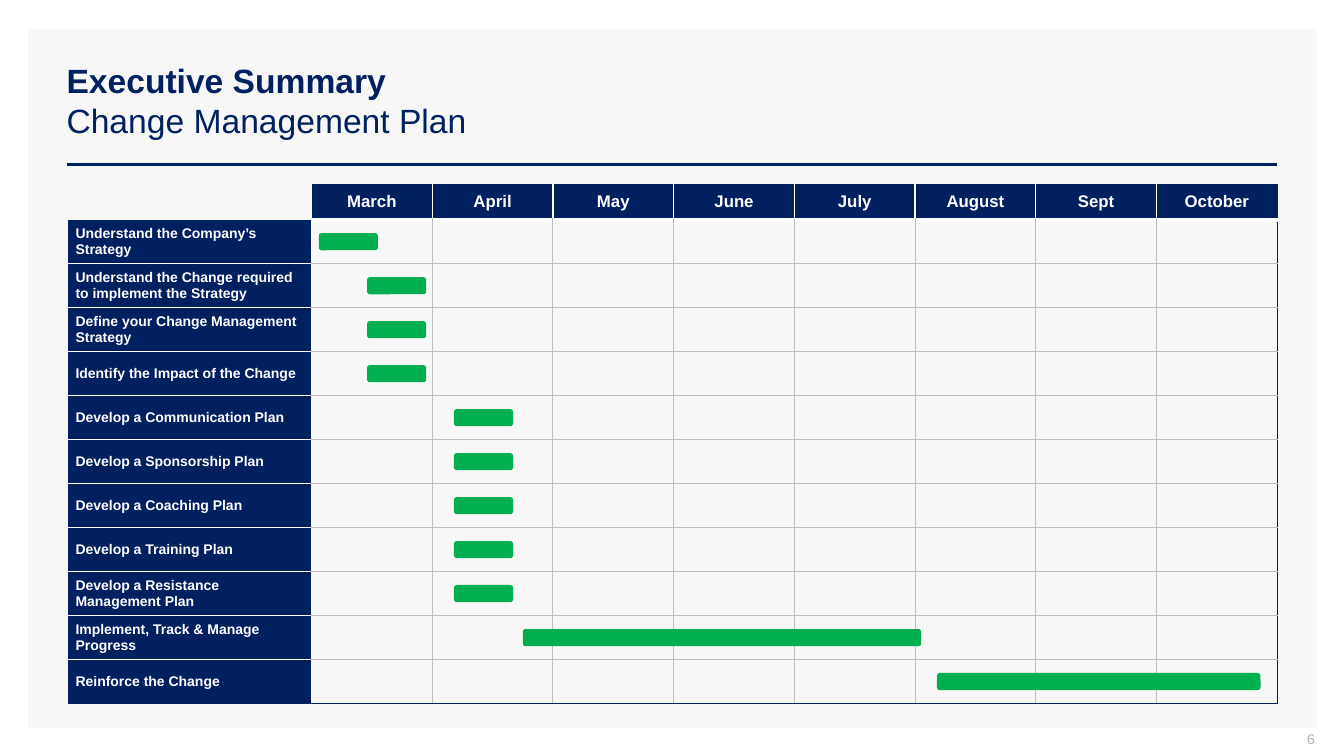
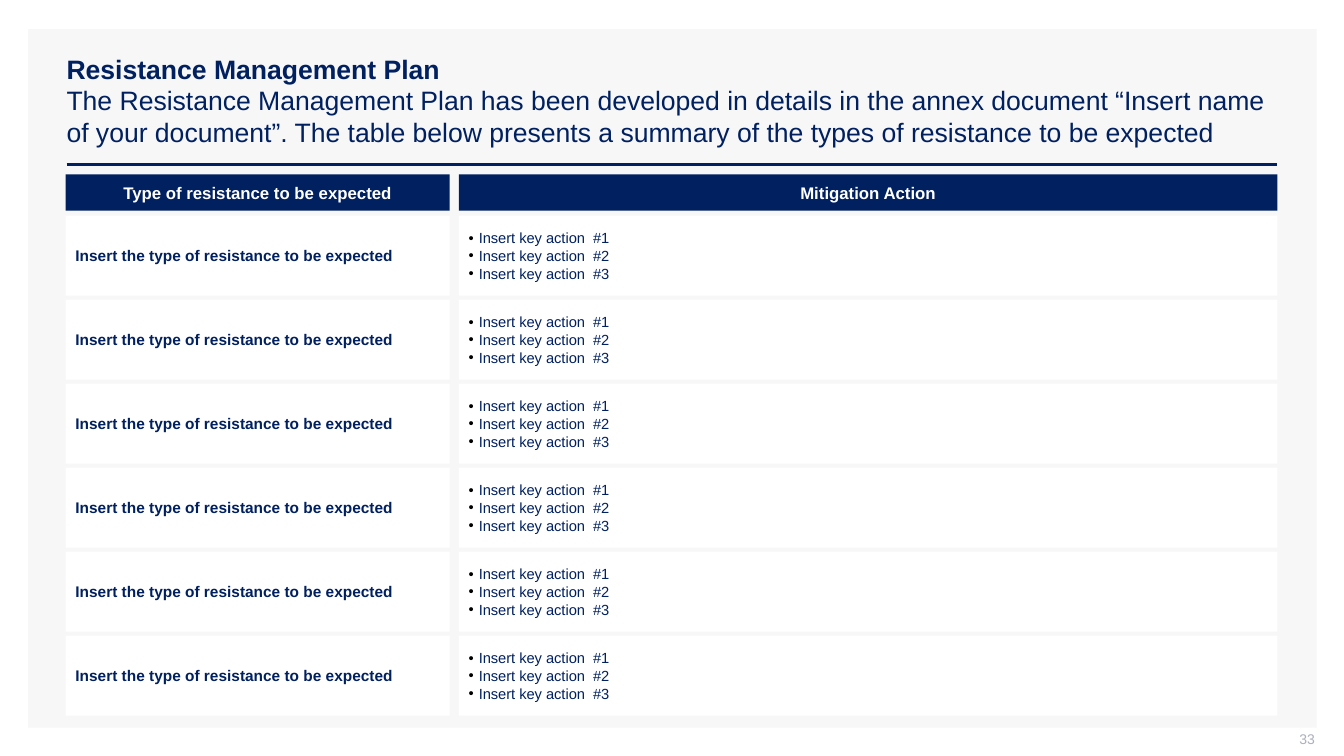
from dataclasses import dataclass

from lxml.etree import SubElement
from pptx import Presentation
from pptx.dml.color import RGBColor
from pptx.enum.shapes import MSO_CONNECTOR, MSO_SHAPE
from pptx.enum.text import MSO_ANCHOR, MSO_AUTO_SIZE, PP_ALIGN
from pptx.oxml.ns import qn
from pptx.util import Inches, Pt


@dataclass(frozen=True)
class Theme:
    font: str = "Arial"
    navy: str = "002060"
    white: str = "FFFFFF"
    panel: str = "F7F7F7"
    grid: str = "BFBFBF"
    bar: str = "00B050"
    number: str = "ADAFBB"
    bullet: str = "000000"
    title_size: float = 24
    long_title_size: float = 19
    header_size: float = 12
    type_size: float = 11
    action_size: float = 10.5
    small_size: float = 10


@dataclass(frozen=True)
class Box:
    """A region of the slide, in inches."""
    left: float
    top: float
    width: float
    height: float

    @property
    def right(self):
        return self.left + self.width

    @property
    def bottom(self):
        return self.top + self.height

    def emu(self):
        return [Inches(n) for n in (self.left, self.top, self.width, self.height)]


THEME = Theme()
SLIDE_WIDTH, SLIDE_HEIGHT = 13.33, 7.5
PANEL = Box(0.28, 0.29, 12.78, 6.93)
TITLE = Box(0.56, 0.4, 12.11, 1.19)
RULE = Box(0.66, 1.63, 12.01, 0)
NUMBER = Box(10.04, 7.25, 3, 0.21)
GANTT = Box(0.68, 1.83, 11.99, 5.15)
RESISTANCE = Box(0.65, 1.73, 12.02, 5.37)

MONTHS = ["March", "April", "May", "June", "July", "August", "Sept", "October"]
# Task, start and length, both in months from the first column
TASKS = [
    ("Understand the Company’s Strategy", 0.06, 0.49),
    ("Understand the Change required to implement the Strategy", 0.46, 0.49),
    ("Define your Change Management Strategy", 0.46, 0.49),
    ("Identify the Impact of the Change", 0.46, 0.49),
    ("Develop a Communication Plan", 1.18, 0.49),
    ("Develop a Sponsorship Plan", 1.18, 0.49),
    ("Develop a Coaching Plan", 1.18, 0.49),
    ("Develop a Training Plan", 1.18, 0.49),
    ("Develop a Resistance Management Plan", 1.18, 0.49),
    ("Implement, Track & Manage Progress", 1.75, 3.3),
    ("Reinforce the Change", 5.18, 2.68),
]
RESISTANCE_ROWS = [("Insert the type of resistance to be expected",
                    [f"Insert key action  #{n}" for n in (1, 2, 3)])] * 6


# Shared helpers

def set_font(paragraph, size, color, bold=False, align=PP_ALIGN.LEFT):
    paragraph.alignment = align
    font = paragraph.font
    font.name, font.size, font.bold = THEME.font, Pt(size), bold
    font.color.rgb = RGBColor.from_string(color)


def set_margins(target, left, top, right, bottom):
    target.margin_left, target.margin_top = Inches(left), Inches(top)
    target.margin_right, target.margin_bottom = Inches(right), Inches(bottom)


def add_block(slide, box, color, kind=MSO_SHAPE.RECTANGLE):
    shape = slide.shapes.add_shape(kind, *box.emu())
    shape.shadow.inherit = False
    shape.fill.solid()
    shape.fill.fore_color.rgb = RGBColor.from_string(color)
    shape.line.fill.background()
    return shape


def add_text_block(slide, box, color, lines, margins):
    """Add a filled rectangle with text and return its paragraphs."""
    frame = add_block(slide, box, color).text_frame
    frame.word_wrap = True
    frame.vertical_anchor = MSO_ANCHOR.MIDDLE
    set_margins(frame, *margins)
    frame.text = "\n".join(lines)
    return frame.paragraphs


def set_bullet(paragraph, indent):
    properties = paragraph._p.get_or_add_pPr()
    properties.set("marL", str(Inches(indent)))
    properties.set("indent", str(-Inches(indent)))
    color = SubElement(properties, qn("a:buClr"))
    SubElement(color, qn("a:srgbClr"), val=THEME.bullet)
    SubElement(properties, qn("a:buFont"), typeface=THEME.font)
    SubElement(properties, qn("a:buChar"), char="•")


def set_borders(cell, **sides):
    """Set the L, R, T and B borders to (color, points); others are hidden."""
    properties = cell._tc.get_or_add_tcPr()
    for side in "LRTB":
        color, width = sides.get(side) or (None, 0)
        line = SubElement(properties, qn(f"a:ln{side}"), w=str(Pt(width)))
        if color:
            fill = SubElement(line, qn("a:solidFill"))
            SubElement(fill, qn("a:srgbClr"), val=color)
        else:
            SubElement(line, qn("a:noFill"))


# Frame of every slide

def add_framed_slide(presentation, heading, subheading, title_size, number):
    slide = presentation.slides.add_slide(presentation.slide_layouts[5])
    title = slide.shapes.title

    # Panel and rule, behind the title
    panel = add_block(slide, PANEL, THEME.panel)
    rule = slide.shapes.add_connector(
        MSO_CONNECTOR.STRAIGHT, Inches(RULE.left), Inches(RULE.top),
        Inches(RULE.right), Inches(RULE.bottom))
    rule.line.color.rgb = RGBColor.from_string(THEME.navy)
    rule.line.width = Pt(2)
    SubElement(rule.element.spPr, qn("a:effectLst"))
    for shape in (panel, rule):
        title.element.addprevious(shape.element)

    # Bold heading above a regular subheading
    title.left, title.top, title.width, title.height = TITLE.emu()
    frame = title.text_frame
    frame.word_wrap = True
    frame.auto_size = MSO_AUTO_SIZE.NONE
    frame.vertical_anchor = MSO_ANCHOR.MIDDLE
    paragraph = frame.paragraphs[0]
    set_font(paragraph, title_size, THEME.navy)
    run = paragraph.add_run()
    run.text, run.font.bold = heading, True
    paragraph.add_line_break()
    paragraph.add_run().text = subheading

    # Slide number
    frame = slide.shapes.add_textbox(*NUMBER.emu()).text_frame
    frame.word_wrap = True
    frame.vertical_anchor = MSO_ANCHOR.MIDDLE
    set_margins(frame, 0.1, 0, 0, 0.05)
    frame.text = str(number)
    set_font(frame.paragraphs[0], THEME.small_size, THEME.number, align=PP_ALIGN.RIGHT)
    return slide


# Gantt chart

def format_gantt_cell(cell, row, column):
    """Navy header row and label column around an open grid."""
    white, thick = (THEME.white, 1), (THEME.white, 3)
    navy, grey = (THEME.navy, 0.75), (THEME.grid, 0.75)
    last_row, last_column = row == len(TASKS), column == len(MONTHS)
    is_header, is_label = row == 0, column == 0
    set_margins(cell, 0.07, 0, 0.07, 0)
    cell.vertical_anchor = MSO_ANCHOR.MIDDLE
    if is_header and is_label:
        set_borders(cell)
    elif is_header:
        set_borders(cell, L=white if column > 1 else None,
                    R=navy if last_column else white, T=navy, B=thick)
    elif is_label:
        set_borders(cell, L=navy, R=white, T=white if row > 1 else None,
                    B=navy if last_row else white)
    else:
        set_borders(cell, L=white if column == 1 else grey,
                    R=navy if last_column else grey,
                    T=thick if row == 1 else grey,
                    B=navy if last_row else grey)
    if is_header != is_label:
        cell.fill.solid()
        cell.fill.fore_color.rgb = RGBColor.from_string(THEME.navy)
        cell.text = MONTHS[column - 1] if is_header else TASKS[row - 1][0]
        set_font(cell.text_frame.paragraphs[0],
                 THEME.header_size if is_header else THEME.small_size, THEME.white,
                 bold=True, align=PP_ALIGN.CENTER if is_header else PP_ALIGN.LEFT)
    else:
        cell.fill.background()
        set_font(cell.text_frame.paragraphs[0], THEME.small_size, THEME.navy)


def add_gantt(slide, box):
    label_width, header_height, bar_height = 2.41, 0.35, 0.17
    month_width = (box.width - label_width) / len(MONTHS)
    task_height = (box.height - header_height) / len(TASKS)

    # Grid
    table = slide.shapes.add_table(len(TASKS) + 1, len(MONTHS) + 1, *box.emu()).table
    table.first_row = table.horz_banding = False
    for column, item in enumerate(table.columns):
        item.width = Inches(month_width if column else label_width)
    for row, item in enumerate(table.rows):
        item.height = Inches(task_height if row else header_height)
        for column, cell in enumerate(item.cells):
            format_gantt_cell(cell, row, column)

    # Bars, centred in their rows
    for index, (_, start, length) in enumerate(TASKS):
        middle = box.top + header_height + (index + 0.5) * task_height
        bar = Box(box.left + label_width + start * month_width,
                  middle - bar_height / 2, length * month_width, bar_height)
        add_block(slide, bar, THEME.bar, MSO_SHAPE.ROUNDED_RECTANGLE)


# Resistance grid

def add_resistance_grid(slide, box):
    type_width, column_gap = 3.81, 0.09
    header_height, header_gap, row_gap = 0.36, 0.05, 0.04
    action_left = box.left + type_width + column_gap
    columns = [(box.left, type_width), (action_left, box.right - action_left)]

    # Headers
    headers = ["Type of resistance to be expected", "Mitigation Action"]
    for (left, width), header in zip(columns, headers):
        paragraphs = add_text_block(slide, Box(left, box.top, width, header_height),
                                    THEME.navy, [header], [0.02] * 4)
        set_font(paragraphs[0], THEME.header_size, THEME.white, True, PP_ALIGN.CENTER)

    # Rows: type on the left, bulleted actions on the right
    first_top = box.top + header_height + header_gap
    pitch = (box.bottom - first_top + row_gap) / len(RESISTANCE_ROWS)
    margins = (0.1, 0.05, 0.1, 0.05)
    for index, (kind, actions) in enumerate(RESISTANCE_ROWS):
        type_box, action_box = [
            Box(left, first_top + index * pitch, width, pitch - row_gap)
            for left, width in columns]
        paragraph = add_text_block(slide, type_box, THEME.white, [kind], margins)[0]
        set_font(paragraph, THEME.type_size, THEME.navy, bold=True)
        paragraph.space_before = paragraph.space_after = Pt(6)
        for paragraph in add_text_block(slide, action_box, THEME.white, actions, margins):
            set_font(paragraph, THEME.action_size, THEME.navy)
            set_bullet(paragraph, 0.1)


def main():
    presentation = Presentation()
    presentation.slide_width = Inches(SLIDE_WIDTH)
    presentation.slide_height = Inches(SLIDE_HEIGHT)

    slide = add_framed_slide(presentation, "Executive Summary",
                             "Change Management Plan", THEME.title_size, 6)
    add_gantt(slide, GANTT)

    slide = add_framed_slide(
        presentation, "Resistance Management Plan",
        "The Resistance Management Plan has been developed in details in the "
        "annex document “Insert name of your document”. The table below presents "
        "a summary of the types of resistance to be expected",
        THEME.long_title_size, 33)
    add_resistance_grid(slide, RESISTANCE)
    presentation.save("out.pptx")


if __name__ == "__main__":
    main()
